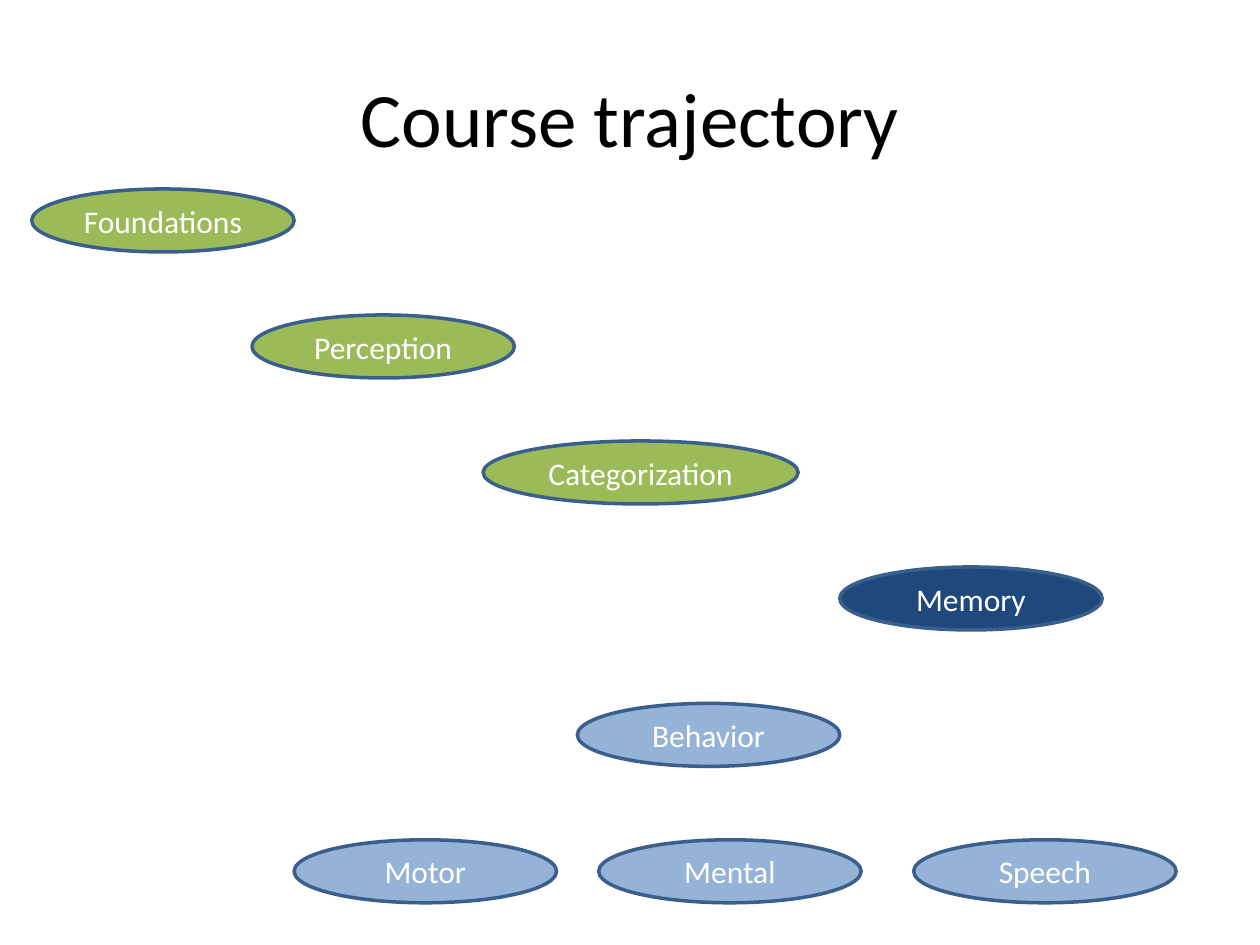
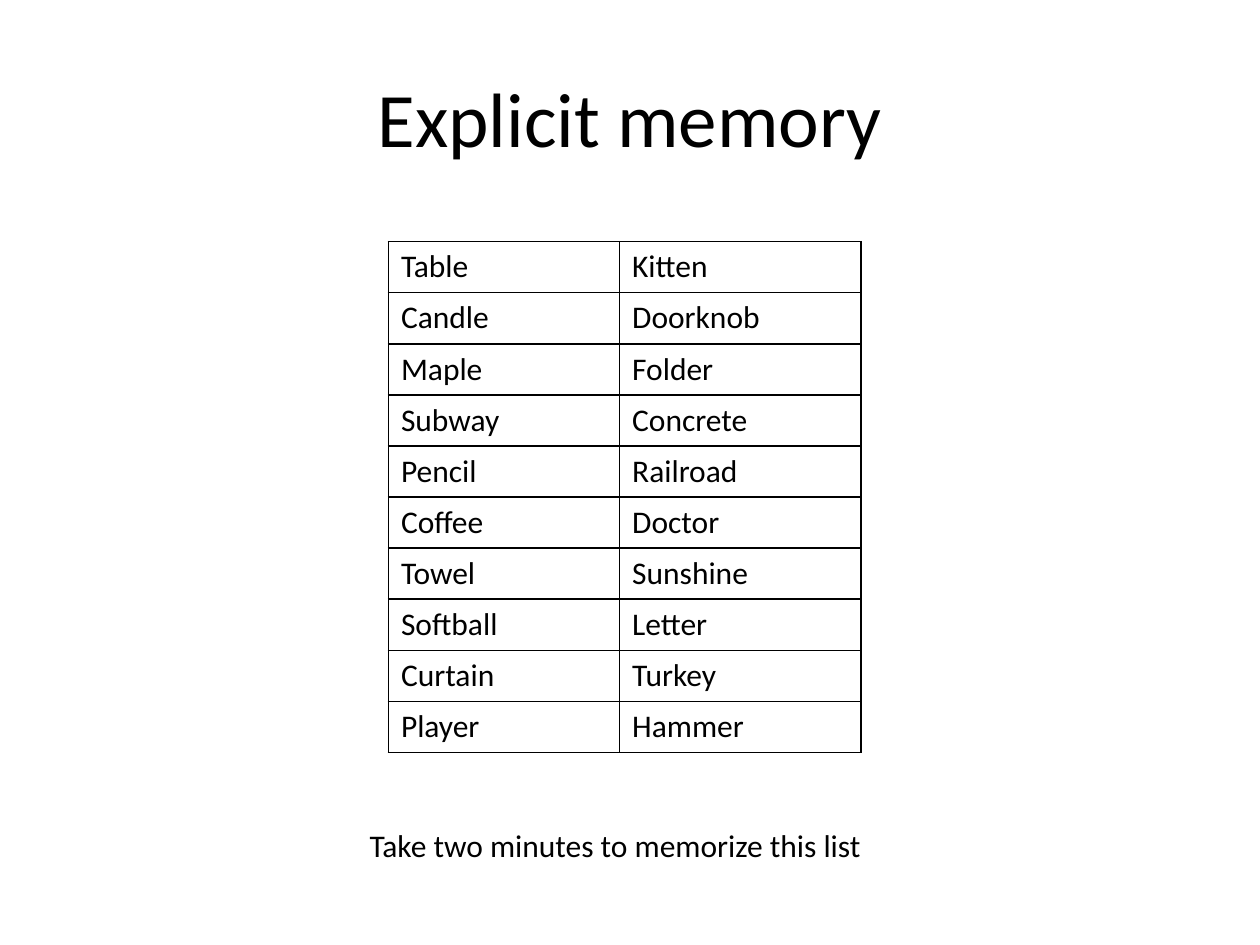
from typing import NamedTuple

from lxml.etree import SubElement
from pptx import Presentation
from pptx.dml.color import RGBColor
from pptx.enum.shapes import MSO_SHAPE
from pptx.enum.text import MSO_ANCHOR, PP_ALIGN
from pptx.oxml.ns import qn
from pptx.slide import Slide
from pptx.table import _Cell
from pptx.text.text import TextFrame
from pptx.util import Cm, Pt

# Shared style
FONT = "Calibri"
TITLE_SIZE, BODY_SIZE = 44, 18
BLACK = RGBColor(0x00, 0x00, 0x00)
WHITE = RGBColor(0xFF, 0xFF, 0xFF)
COVERED = RGBColor(0x9B, 0xBB, 0x59)
CURRENT = RGBColor(0x1F, 0x49, 0x7D)
UPCOMING = RGBColor(0x95, 0xB3, 0xD7)
OUTLINE = RGBColor(0x3A, 0x5F, 0x8C)


class Topic(NamedTuple):
    name: str
    left: float
    top: float
    color: RGBColor
    width: float = 5.29


TOPIC_HEIGHT = 1.27
FIRST_TOP, STEP, LAST_TOP = 3.81, 2.54, 16.93
TOPICS = [
    Topic("Foundations", 0.64, FIRST_TOP, COVERED),
    Topic("Perception", 5.08, FIRST_TOP + STEP, COVERED),
    Topic("Categorization", 9.74, FIRST_TOP + 2 * STEP, COVERED, 6.35),
    Topic("Memory", 16.93, FIRST_TOP + 3 * STEP, CURRENT),
    Topic("Behavior", 11.64, 14.18, UPCOMING),
    Topic("Motor", 5.93, LAST_TOP, UPCOMING),
    Topic("Mental", 12.07, LAST_TOP, UPCOMING),
    Topic("Speech", 18.42, LAST_TOP, UPCOMING),
]

WORD_PAIRS = [
    ("Table", "Kitten"),
    ("Candle", "Doorknob"),
    ("Maple", "Folder"),
    ("Subway", "Concrete"),
    ("Pencil", "Railroad"),
    ("Coffee", "Doctor"),
    ("Towel", "Sunshine"),
    ("Softball", "Letter"),
    ("Curtain", "Turkey"),
    ("Player", "Hammer"),
]
COLUMN_WIDTHS = (4.66, 4.87)
ROW_HEIGHT = 1.03


def set_text(tf: TextFrame, text: str, size: int = BODY_SIZE,
             color: RGBColor = BLACK, align: PP_ALIGN = PP_ALIGN.LEFT) -> None:
    tf.text = text
    p = tf.paragraphs[0]
    p.alignment = align
    font = p.runs[0].font
    font.name, font.size, font.color.rgb = FONT, Pt(size), color


def add_text(s: Slide, text: str, left: float, top: float, width: float,
             height: float, size: int = BODY_SIZE,
             align: PP_ALIGN = PP_ALIGN.LEFT,
             anchor: MSO_ANCHOR = MSO_ANCHOR.TOP) -> None:
    tf = s.shapes.add_textbox(Cm(left), Cm(top), Cm(width), Cm(height)).text_frame
    tf.word_wrap = True
    tf.vertical_anchor = anchor
    set_text(tf, text, size, align=align)


def add_titled_slide(prs: Presentation, title: str) -> Slide:
    s = prs.slides.add_slide(prs.slide_layouts[6])
    add_text(s, title, 1.27, 0.76, 22.86, 3.18, TITLE_SIZE,
             PP_ALIGN.CENTER, MSO_ANCHOR.MIDDLE)
    return s


def add_topic(s: Slide, topic: Topic) -> None:
    sp = s.shapes.add_shape(MSO_SHAPE.OVAL, Cm(topic.left), Cm(topic.top),
                            Cm(topic.width), Cm(TOPIC_HEIGHT))
    sp.shadow.inherit = False
    sp.fill.solid()
    sp.fill.fore_color.rgb = topic.color
    sp.line.color.rgb = OUTLINE
    sp.line.width = Pt(2)
    sp.text_frame.vertical_anchor = MSO_ANCHOR.MIDDLE
    set_text(sp.text_frame, topic.name, color=WHITE, align=PP_ALIGN.CENTER)


def set_borders(cell: _Cell) -> None:
    tc_pr = cell._tc.get_or_add_tcPr()
    for side in ("L", "R", "T", "B"):
        ln = SubElement(tc_pr, qn(f"a:ln{side}"), w=str(Pt(1)))
        fill = SubElement(ln, qn("a:solidFill"))
        SubElement(fill, qn("a:srgbClr"), val=str(BLACK))


def add_word_table(s: Slide, left: float, top: float) -> None:
    table = s.shapes.add_table(
        len(WORD_PAIRS), len(COLUMN_WIDTHS), Cm(left), Cm(top),
        Cm(sum(COLUMN_WIDTHS)), Cm(ROW_HEIGHT * len(WORD_PAIRS))).table
    table.first_row = table.horz_banding = False
    for column, width in zip(table.columns, COLUMN_WIDTHS):
        column.width = Cm(width)
    for row, words in zip(table.rows, WORD_PAIRS):
        row.height = Cm(ROW_HEIGHT)
        for cell, word in zip(row.cells, words):
            set_text(cell.text_frame, word)
            set_borders(cell)
            cell.fill.background()


def main() -> None:
    prs = Presentation()
    prs.slide_width, prs.slide_height = Cm(25.4), Cm(19.05)

    # Course overview
    s = add_titled_slide(prs, "Course trajectory")
    for topic in TOPICS:
        add_topic(s, topic)

    # Word list to memorize
    s = add_titled_slide(prs, "Explicit memory")
    add_word_table(s, 7.83, 4.87)
    add_text(s, "Take two minutes to memorize this list", 7.2, 16.53, 11.43, 1.03)

    prs.save("out.pptx")


if __name__ == "__main__":
    main()
